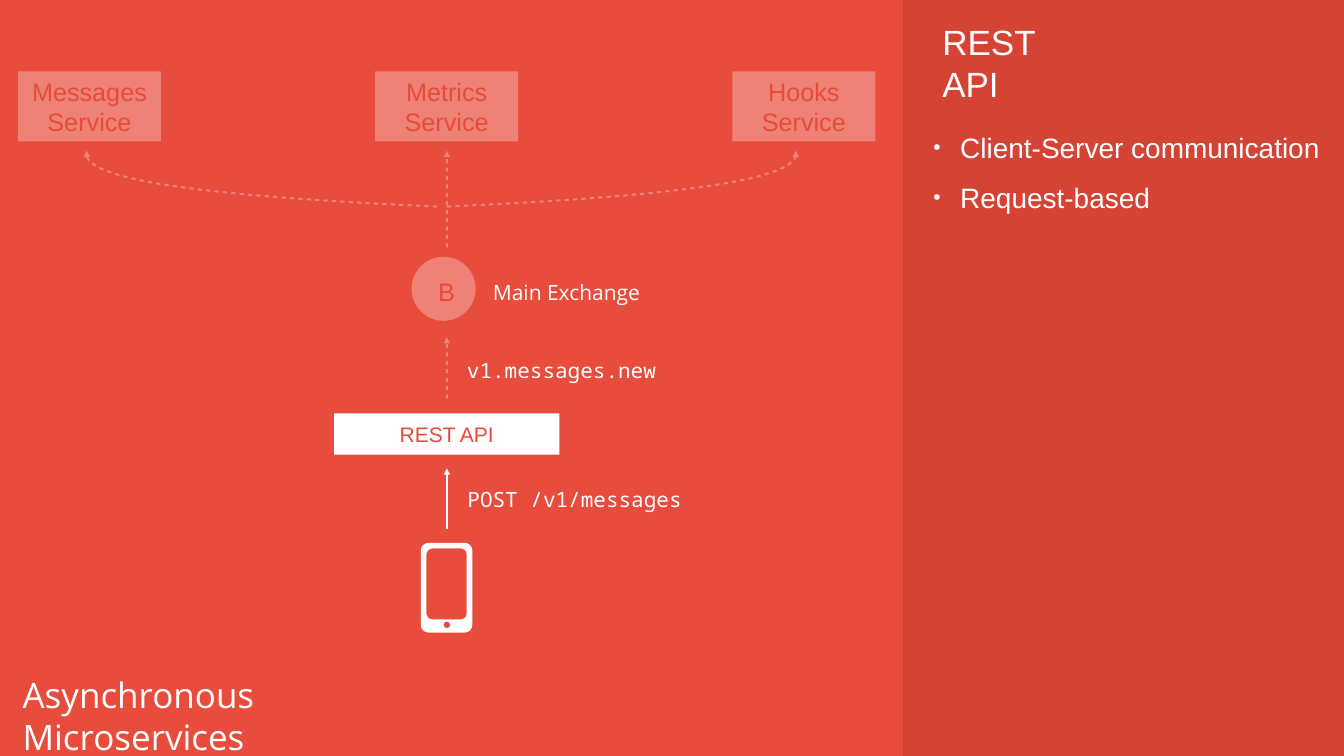
from dataclasses import dataclass

from lxml.etree import SubElement
from pptx import Presentation
from pptx.dml.color import RGBColor
from pptx.enum.shapes import MSO_CONNECTOR, MSO_SHAPE
from pptx.enum.text import MSO_ANCHOR, MSO_AUTO_SIZE, PP_ALIGN
from pptx.oxml.ns import qn
from pptx.util import Cm, Pt

RED, DARK, WHITE = "E74C3C", "D44334", "FFFFFF"
INK = "E84B3C"
MONO, SANS = "Noto Sans Mono", "Open Sans"
AXIS = 22.52


@dataclass
class Box:
    x: float
    y: float
    w: float
    h: float

    def place(self):
        return Cm(self.x), Cm(self.y), Cm(self.w), Cm(self.h)


@dataclass
class Label:
    text: str
    box: Box
    font: str
    align: PP_ALIGN = PP_ALIGN.CENTER
    size: int = 30
    wrap: bool = False
    pad: float = 0


@dataclass
class Arrow:
    start: float
    end: float
    faint: bool = True


@dataclass
class Path:
    """A start point and its steps: one point for a line, three for a curve."""
    start: tuple
    steps: list


def paint(fill, color):
    fill.solid()
    fill.fore_color.rgb = RGBColor.from_string(color)


def fade(shape):
    """Make the shape's colours 30 % opaque; call before adding text."""
    for tint in shape.element.iter(qn("a:srgbClr")):
        SubElement(tint, qn("a:alpha"), val="30000")


def write(shape, text, size=36, font="Arial", color=WHITE, align=PP_ALIGN.CENTER,
          anchor=MSO_ANCHOR.MIDDLE, wrap=True, pad=0.0, left=None, top=None):
    frame = shape.text_frame
    frame.text = text
    frame.auto_size = MSO_AUTO_SIZE.NONE
    frame.word_wrap = wrap
    frame.vertical_anchor = anchor
    frame.margin_left = Cm(pad if left is None else left)
    frame.margin_top = Cm(pad if top is None else top)
    frame.margin_right = frame.margin_bottom = Cm(pad)
    for para in frame.paragraphs:
        para.alignment = align
        for run in para.runs:
            run.font.size = Pt(size)
            run.font.name = font
            run.font.color.rgb = RGBColor.from_string(color)


def block(slide, box: Box, color=WHITE, kind=MSO_SHAPE.RECTANGLE, faint=False):
    shape = slide.shapes.add_shape(kind, *box.place())
    shape.shadow.inherit = False
    paint(shape.fill, color)
    shape.line.fill.background()
    if faint:
        fade(shape)
    return shape


def stroke(shape, faint: bool):
    """Style a line: white, arrow at the end, dashed when faint."""
    paint(shape.line.fill, WHITE)
    shape.line.width = Pt(3)
    ln = shape.element.spPr.find(qn("a:ln"))
    if faint:
        fade(shape)
        dash = SubElement(ln, qn("a:custDash"))
        SubElement(dash, qn("a:ds"), d="200000", sp="200000")
    SubElement(ln, qn("a:tailEnd"), type="triangle")


def rise(slide, arrow: Arrow):
    """Draw an upward arrow on the main axis."""
    line = slide.shapes.add_connector(MSO_CONNECTOR.STRAIGHT, Cm(AXIS), Cm(arrow.start),
                                      Cm(AXIS), Cm(arrow.end))
    stroke(line, arrow.faint)
    SubElement(line.element.spPr, qn("a:effectLst"))


def outline(slide, paths: list[Path], close: bool):
    """Build a freeform, turning each three-point step into a Bezier curve."""
    maker = None
    for path in paths:
        start = [Cm(n) for n in path.start]
        if maker is None:
            maker = slide.shapes.build_freeform(*start)
        else:
            maker.move_to(*start)
        maker.add_line_segments([(Cm(x), Cm(y)) for *_, (x, y) in path.steps], close=close)
    shape = maker.convert_to_shape()
    shape.shadow.inherit = False
    steps = [step for path in paths for step in path.steps]
    for node, step in zip(list(shape.element.iter(qn("a:lnTo"))), steps):
        if len(step) == 3:
            bend = node.getparent().makeelement(qn("a:cubicBezTo"))
            for x, y in step:
                SubElement(bend, qn("a:pt"), x=str(Cm(x) - shape.left), y=str(Cm(y) - shape.top))
            node.getparent().replace(node, bend)
    return shape


def curve(slide, start, *step):
    shape = outline(slide, [Path(start, [step])], close=False)
    shape.fill.background()
    stroke(shape, True)


def rounded(box: Box, r: float) -> Path:
    """Return the path of a box with round corners."""
    x, y, k = box.x, box.y, 0.45 * r
    right, low = x + box.w, y + box.h
    return Path((x + r, y), [
        ((right - r, y),), ((right - k, y), (right, y + k), (right, y + r)),
        ((right, low - r),), ((right, low - k), (right - k, low), (right - r, low)),
        ((x + r, low),), ((x + k, low), (x, low - k), (x, low - r)),
        ((x, y + r),), ((x, y + k), (x + k, y), (x + r, y))])


def phone(slide):
    body = rounded(Box(21.21, 27.36, 2.59, 4.52), 0.38)
    screen = rounded(Box(21.49, 27.64, 2.03, 3.58), 0.3)
    button = rounded(Box(22.35, 31.32, 0.34, 0.34), 0.17)
    button.steps = button.steps[1::2]
    shape = outline(slide, [body, screen, button], close=True)
    paint(shape.fill, WHITE)
    shape.line.fill.background()


def move(shape, box: Box):
    shape.left, shape.top, shape.width, shape.height = box.place()


def bullet(para):
    para.line_spacing = 1.5
    para.space_before = para.space_after = Pt(0)
    props = para._p.get_or_add_pPr()
    props.set("marL", str(Cm(1.35)))
    props.set("indent", str(-Cm(1.35)))
    tint = SubElement(props, qn("a:buClr"))
    SubElement(tint, qn("a:srgbClr"), val=WHITE)
    SubElement(props, qn("a:buSzPct"), val="75000")
    SubElement(props, qn("a:buFont"), typeface="Arial")
    SubElement(props, qn("a:buChar"), char="•")


def side(slide):
    """Fill the right panel with its title and list."""
    panel = block(slide, Box(45.51, -0.05, 22.28, 38.2), DARK)
    title, body = slide.shapes.title, slide.placeholders[1]
    title.element.addprevious(panel.element)
    move(title, Box(47.34, 1.96, 7.57, 2.41))
    write(title, "REST API", size=50, align=PP_ALIGN.LEFT, pad=0.15)
    move(body, Box(47.04, 5.72, 20.55, 5.08))
    write(body, "Client-Server communication\nRequest-based", size=40,
          align=PP_ALIGN.LEFT, anchor=MSO_ANCHOR.TOP)
    for para in body.text_frame.paragraphs:
        bullet(para)


LABELS = [
    Label("Asynchronous Microservices", Box(0.99, 34.87, 22.73, 2.41), SANS,
          PP_ALIGN.LEFT, 50, True, 0.15),
    Label("POST /v1/messages", Box(23.39, 24.38, 11.13, 1.55), MONO),
    Label("v1.messages.new", Box(23.52, 18.01, 9.55, 1.27), MONO),
    Label("Main Exchange", Box(24.84, 14.07, 7.42, 1.27), SANS),
]
ARROWS = [Arrow(26.67, 23.6, False), Arrow(20.09, 16.99), Arrow(12.47, 7.59)]


def main():
    deck = Presentation()
    deck.slide_width, deck.slide_height = Cm(67.73), Cm(38.1)
    slide = deck.slides.add_slide(deck.slide_layouts[1])
    paint(slide.background.fill, RED)
    side(slide)

    for i, name in enumerate(("Messages", "Metrics", "Hooks")):
        card = block(slide, Box(0.91 + 18 * i, 3.6, 7.2, 3.53), faint=True)
        write(card, f"{name}\nService", color=INK)
    broker = block(slide, Box(20.74, 12.94, 3.23, 3.23), kind=MSO_SHAPE.OVAL, faint=True)
    write(broker, "B", color=INK, left=0.3, top=0.3)
    gate = block(slide, Box(16.84, 20.83, 11.35, 2.08))
    write(gate, "REST API", size=30, color=INK, pad=0.15)

    for arrow in ARROWS:
        rise(slide, arrow)
    curve(slide, (22.02, 10.41), (9.78, 9.86), (3.89, 8.92), (4.37, 7.59))
    curve(slide, (22.53, 10.41), (34.72, 9.86), (40.59, 8.89), (40.11, 7.59))
    for label in LABELS:
        area = slide.shapes.add_textbox(*label.box.place())
        write(area, label.text, size=label.size, font=label.font, align=label.align,
              wrap=label.wrap, pad=label.pad)
    phone(slide)
    deck.save("out.pptx")


if __name__ == "__main__":
    main()
